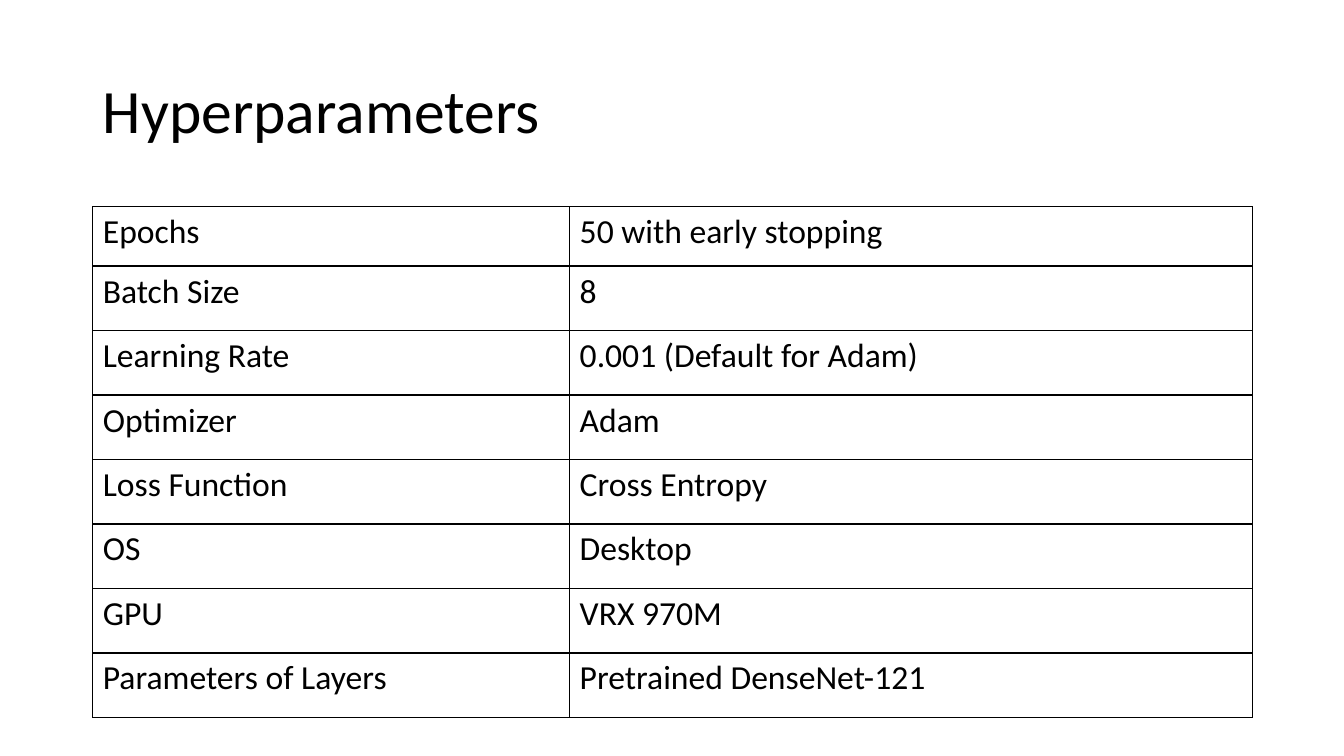
import dataclasses

import pptx
import pptx.dml.color
import pptx.enum.text
import pptx.oxml
import pptx.oxml.ns
import pptx.util

EMU_PER_PX = 9144  # 100 px to the inch


@dataclasses.dataclass(frozen=True)
class Theme:
    font: str = "Calibri"
    ink: str = "000000"
    paper: str = "FFFFFF"
    title_pt: int = 44
    cell_pt: int = 24
    border_pt: int = 1


@dataclasses.dataclass(frozen=True)
class Setting:
    label: str
    value: str
    height: int = 64


THEME = Theme()
SLIDE_WIDTH, SLIDE_HEIGHT = 1333, 750
LEFT, WIDTH = 92, 1150
TITLE_TOP, TITLE_HEIGHT = 40, 145
TABLE_TOP = 205
COLUMN_WIDTHS = (473, 677)
SETTINGS = (
    Setting("Epochs", "50 with early stopping", height=59),
    Setting("Batch Size", "8"),
    Setting("Learning Rate", "0.001 (Default for Adam)"),
    Setting("Optimizer", "Adam"),
    Setting("Loss Function", "Cross Entropy"),
    Setting("OS", "Desktop"),
    Setting("GPU", "VRX 970M"),
    Setting("Parameters of Layers", "Pretrained DenseNet-121"),
)


def px(length: int) -> pptx.util.Emu:
    return pptx.util.Emu(length * EMU_PER_PX)


def write(frame, text: str, size: int) -> None:
    paragraph = frame.paragraphs[0]
    paragraph.alignment = pptx.enum.text.PP_ALIGN.LEFT
    run = paragraph.add_run()
    run.text = text
    formats = {"name": THEME.font, "size": pptx.util.Pt(size), "bold": False}
    for attribute, setting in formats.items():
        setattr(run.font, attribute, setting)
    run.font.color.rgb = pptx.dml.color.RGBColor.from_string(THEME.ink)


def outline(cell) -> None:
    """Draw all four borders; they must come before the fill in tcPr."""
    properties = cell._tc.get_or_add_tcPr()
    width = pptx.util.Pt(THEME.border_pt)
    for position, side in enumerate(("lnL", "lnR", "lnT", "lnB")):
        border = pptx.oxml.parse_xml(
            f'<a:{side} {pptx.oxml.ns.nsdecls("a")} w="{width}"><a:solidFill>'
            f'<a:srgbClr val="{THEME.ink}"/></a:solidFill></a:{side}>'
        )
        properties.insert(position, border)


def add_title(slide, text: str) -> None:
    title = slide.shapes.title
    place = {"left": LEFT, "top": TITLE_TOP, "width": WIDTH, "height": TITLE_HEIGHT}
    for attribute, length in place.items():
        setattr(title, attribute, px(length))
    title.text_frame.vertical_anchor = pptx.enum.text.MSO_ANCHOR.MIDDLE
    write(title.text_frame, text, THEME.title_pt)
    title.text_frame.paragraphs[0].line_spacing = 0.9


def add_settings_table(slide, settings: tuple[Setting, ...]) -> None:
    height = sum(setting.height for setting in settings)
    table = slide.shapes.add_table(
        len(settings), len(COLUMN_WIDTHS), px(LEFT), px(TABLE_TOP), px(WIDTH), px(height)
    ).table
    table.first_row = False
    table.horz_banding = False
    for column, width in zip(table.columns, COLUMN_WIDTHS):
        column.width = px(width)
    for row, setting in zip(table.rows, settings):
        row.height = px(setting.height)
        for cell, text in zip(row.cells, (setting.label, setting.value)):
            cell.fill.background()
            outline(cell)
            write(cell.text_frame, text, THEME.cell_pt)


def main() -> None:
    deck = pptx.Presentation()
    deck.slide_width, deck.slide_height = px(SLIDE_WIDTH), px(SLIDE_HEIGHT)
    slide = deck.slides.add_slide(deck.slide_layouts.get_by_name("Title Only"))
    background = slide.background.fill
    background.solid()
    background.fore_color.rgb = pptx.dml.color.RGBColor.from_string(THEME.paper)
    add_title(slide, "Hyperparameters")
    add_settings_table(slide, SETTINGS)
    deck.save("out.pptx")


if __name__ == "__main__":
    main()
